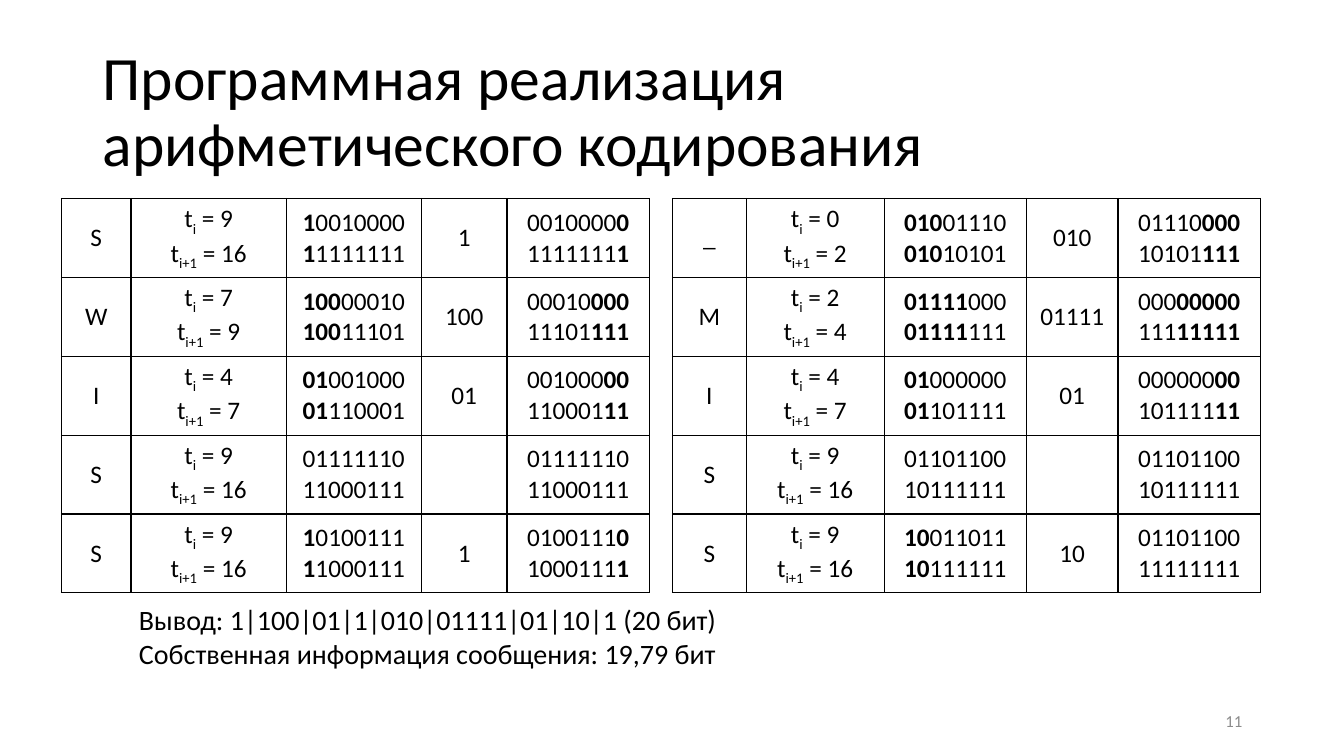
from lxml.etree import SubElement
from pptx import Presentation
from pptx.dml.color import RGBColor
from pptx.enum.text import MSO_ANCHOR as Anchor, PP_ALIGN as Align
from pptx.oxml.ns import qn
from pptx.util import Inches, Pt


def color(code):
    return RGBColor.from_string(code)


class Deck:
    font = "Calibri"
    ink = "000000"
    gray = "8C8C8C"

    def __init__(self):
        self.prs = Presentation()
        self.prs.slide_width = Inches(13.33)
        self.prs.slide_height = Inches(7.5)
        self.slide = self.prs.slides.add_slide(self.prs.slide_layouts[6])

    def put(self, frame, lines, size, ink=ink, align=Align.LEFT, gap=1.0):
        """Each line is a list of runs: (text, style), style "", "bold" or "sub"."""
        for i, line in enumerate(lines):
            para = frame.add_paragraph() if i else frame.paragraphs[0]
            para.alignment = align
            para.line_spacing = gap
            for text, style in line:
                run = para.add_run()
                run.text = text
                run.font.name = self.font
                run.font.size = Pt(size)
                run.font.bold = style == "bold"
                run.font.color.rgb = color(ink)
                if style == "sub":
                    run.font._element.set("baseline", "-25000")

    def text(self, box, lines, size, anchor=Anchor.MIDDLE, **look):
        frame = self.slide.shapes.add_textbox(*map(Inches, box)).text_frame
        frame.word_wrap = True
        frame.vertical_anchor = anchor
        self.put(frame, [[(line, "")] for line in lines], size, **look)

    def border(self, cell):
        props = cell._tc.get_or_add_tcPr()
        for side in ("lnL", "lnR", "lnT", "lnB"):
            line = SubElement(props, qn("a:" + side), w=str(Pt(1)))
            fill = SubElement(line, qn("a:solidFill"))
            SubElement(fill, qn("a:srgbClr"), val=self.ink)

    def table(self, left, top, widths, rows, high=0.7):
        box = map(Inches, (left, top, sum(widths), high * len(rows)))
        grid = self.slide.shapes.add_table(len(rows), len(widths), *box).table
        grid.first_row = grid.horz_banding = False
        for col, width in zip(grid.columns, widths):
            col.width = Inches(width)
        for r, row in enumerate(rows):
            grid.rows[r].height = Inches(high)
            for c, lines in enumerate(row):
                cell = grid.cell(r, c)
                cell.vertical_anchor = Anchor.MIDDLE
                self.border(cell)
                cell.fill.background()
                self.put(cell.text_frame, lines, 18, align=Align.CENTER)


def runs(*parts):
    return [part for part in parts if part[0]]


def step(sign, start, end, low, high, count, mark="bold"):
    """One coding step: the leading bits go out, the rest shifts left."""
    bounds = [[("t", ""), (sub, "sub"), (f" = {num}", "")]
              for sub, num in (("i", start), ("i+1", end))]
    before = [runs((bits[:count], "bold"), (bits[count:], "")) for bits in (low, high)]
    after = [runs((bits[count:], ""), (fill * count, mark))
             for bits, fill in ((low, "0"), (high, "1"))]
    sent = [runs((low[:count], ""))]
    return [[[(sign, "")]], bounds, before, sent, after]


first = [
    step("S", 9, 16, "10010000", "11111111", 1),
    step("W", 7, 9, "10000010", "10011101", 3),
    step("I", 4, 7, "01001000", "01110001", 2),
    step("S", 9, 16, "01111110", "11000111", 0),
    step("S", 9, 16, "10100111", "11000111", 1),
]
second = [
    step("_", 0, 2, "01001110", "01010101", 3),
    step("M", 2, 4, "01111000", "01111111", 5),
    step("I", 4, 7, "01000000", "01101111", 2),
    step("S", 9, 16, "01101100", "10111111", 0),
    step("S", 9, 16, "10011011", "10111111", 2, mark=""),
]


def main():
    deck = Deck()
    # Title
    deck.text((0.92, 0.4, 11.5, 1.45),
              ["Программная реализация арифметического кодирования"], 44, gap=0.9)
    # Coding steps
    deck.table(0.61, 1.97, (0.69, 1.54, 1.34, 0.85, 1.41), first)
    deck.table(6.67, 1.97, (0.73, 1.37, 1.41, 0.91, 1.41), second)
    # Result
    deck.text((1.28, 5.93, 8.88, 0.77),
              ["Вывод: 1|100|01|1|010|01111|01|10|1 (20 бит)",
               "Собственная информация сообщения: 19,79 бит"], 20, Anchor.TOP)
    # Page number
    deck.text((9.42, 6.95, 3, 0.4), ["11"], 12, ink=deck.gray, align=Align.RIGHT)
    deck.prs.save("out.pptx")


if __name__ == "__main__":
    main()
